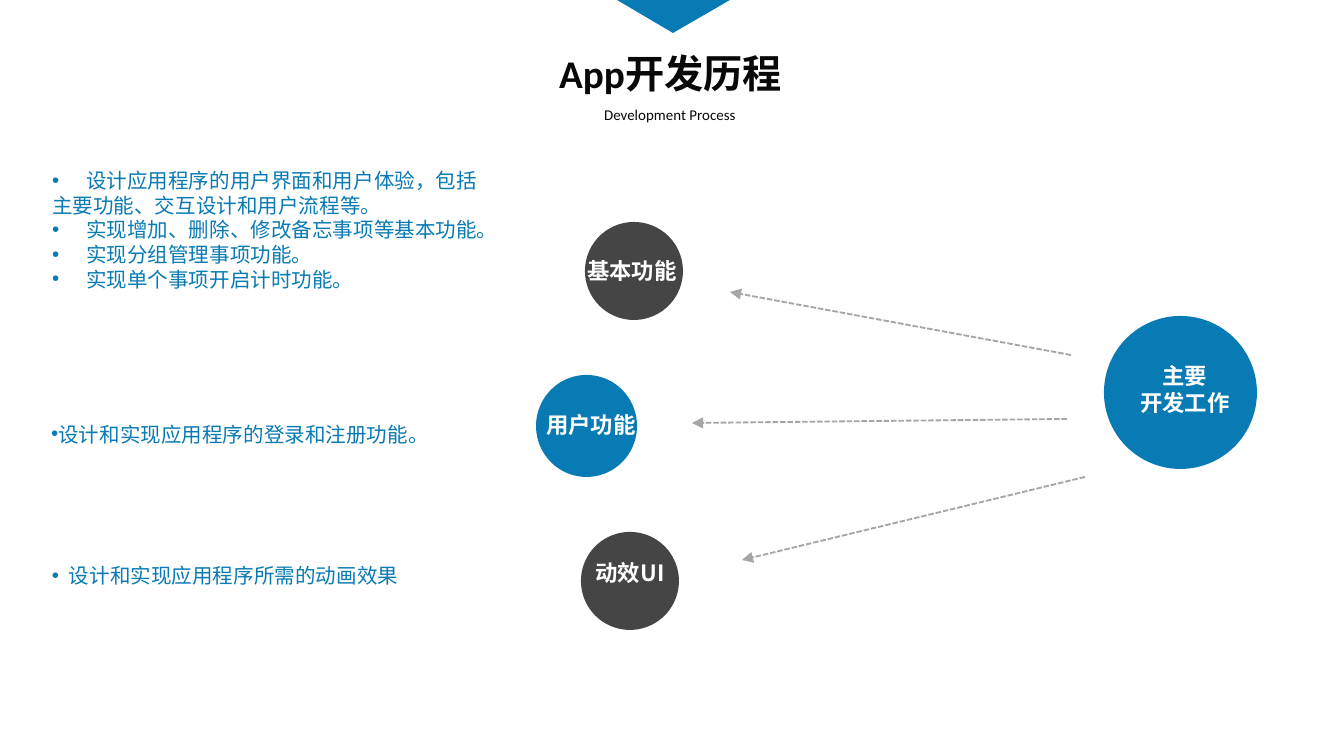
from lxml import etree
from pptx import Presentation
from pptx import util as u
from pptx.dml.color import RGBColor
from pptx.enum import dml, shapes, text
from pptx.oxml.ns import qn

BLUE = RGBColor(0x08, 0x7A, 0xB4)
DARK = RGBColor(0x45, 0x45, 0x45)
BLACK = RGBColor(0x08, 0x08, 0x08)
GREY = RGBColor(0xA6, 0xA6, 0xA6)
WHITE = RGBColor(0xFF, 0xFF, 0xFF)
LATIN = "Calibri"
CJK = "Noto Sans CJK SC"
PX_PER_INCH = 134.4
LABEL_WIDTH = 152


def px(*lengths):
    return [u.Inches(length / PX_PER_INCH) for length in lengths]


class Page:
    """Slide in progress, with its style."""

    def __init__(self, slide):
        self.slide = slide

    def paint(self, shape, color):
        shape.fill.solid()
        shape.fill.fore_color.rgb = color
        shape.line.fill.background()
        shape.shadow.inherit = False

    def circle(self, left, top, width, height, color):
        oval = self.slide.shapes.add_shape(
            shapes.MSO_SHAPE.OVAL, *px(left, top, width, height))
        self.paint(oval, color)

    def polygon(self, points, color):
        builder = self.slide.shapes.build_freeform(
            *points[0], scale=u.Inches(1) / PX_PER_INCH)
        builder.add_line_segments(points[1:], close=True)
        self.paint(builder.convert_to_shape(), color)

    def arrow(self, start, end):
        connector = self.slide.shapes.add_connector(
            shapes.MSO_CONNECTOR.STRAIGHT, *px(*start, *end))
        line = connector.line
        line.color.rgb = GREY
        line.width = u.Pt(1)
        line.dash_style = dml.MSO_LINE.SQUARE_DOT
        etree.SubElement(line._get_or_add_ln(), qn("a:tailEnd"), type="triangle")
        etree.SubElement(connector._element.spPr, qn("a:effectLst"))

    def bullet(self, paragraph, indent, hanging):
        """Bullet whose wrapped lines hang, or return to the left edge."""
        props = paragraph._p.get_or_add_pPr()
        offset = str(px(indent)[0])
        props.set("marL", offset if hanging else "0")
        props.set("indent", f"-{offset}" if hanging and indent else "0")
        color = etree.SubElement(props, qn("a:buClr"))
        etree.SubElement(color, qn("a:srgbClr"), val=str(BLUE))
        etree.SubElement(props, qn("a:buFont"), typeface="Arial")
        etree.SubElement(props, qn("a:buChar"), char="•")
        if not hanging:
            tabs = etree.SubElement(props, qn("a:tabLst"))
            etree.SubElement(tabs, qn("a:tab"), pos=offset, algn="l")

    def text_block(self, box, lines, size, color, font=CJK, bold=False,
                   centered=True, inset=True, indent=None, hanging=True):
        frame = self.slide.shapes.add_textbox(*px(*box)).text_frame
        frame.word_wrap = True
        frame.auto_size = text.MSO_AUTO_SIZE.SHAPE_TO_FIT_TEXT
        if not inset:
            frame.margin_left = frame.margin_right = 0
            frame.margin_top = frame.margin_bottom = 0
        frame.text = "\n".join(lines)
        for paragraph in frame.paragraphs:
            paragraph.alignment = (
                text.PP_ALIGN.CENTER if centered else text.PP_ALIGN.LEFT)
            if indent is not None:
                self.bullet(paragraph, indent, hanging)
            style = paragraph.font
            style.size = u.Pt(size)
            style.bold = bold
            style.color.rgb = color
            style.name = font
            etree.SubElement(style._element, qn("a:ea"), typeface=CJK)

    def label(self, left, top, lines):
        self.text_block((left, top, LABEL_WIDTH, 27 * len(lines)), lines, 12,
                        WHITE, bold=True, inset=False)

    def bullets(self, box, lines, indent, **layout):
        self.text_block(box, lines, 11, BLUE, centered=False, indent=indent,
                        **layout)


def main():
    deck = Presentation()
    deck.slide_width, deck.slide_height = px(1344, 756)
    page = Page(deck.slides.add_slide(deck.slide_layouts[6]))

    for start, end in (
        ((1071, 355), (730, 292)),
        ((1085, 477), (742, 560)),
        ((1067, 419), (692, 423)),
    ):
        page.arrow(start, end)

    for circle, color, label, lines in (
        ((1104, 316, 153, 153), BLUE, (1109, 362), ["主要", "开发工作"]),
        ((585, 222, 98, 98), DARK, (556, 257), ["基本功能"]),
        ((536, 375, 101, 102), BLUE, (515, 411), ["用户功能"]),
        ((581, 532, 98, 98), DARK, (554, 559), ["动效UI"]),
    ):
        page.circle(*circle, color)
        page.label(*label, lines)

    basic_features = [
        "设计应用程序的用户界面和用户体验，包括主要功能、交互设计和用户流程等。",
        "实现增加、删除、修改备忘事项等基本功能。",
        "实现分组管理事项功能。",
        "实现单个事项开启计时功能。",
    ]
    page.bullets((52, 168, 442, 125), [f"\t{line}" for line in basic_features],
                 34, inset=False, hanging=False)
    page.bullets((38, 415, 532, 63), ["设计和实现应用程序的登录和注册功能。"], 0)
    page.bullets((52, 563, 414, 50), ["设计和实现应用程序所需的动画效果"], 17,
                 inset=False)

    page.text_block((458, 43, 425, 60), ["App开发历程"], 21, BLACK, LATIN,
                    bold=True)
    page.text_block((444, 99, 452, 31), ["Development Process"], 8, BLACK, LATIN)
    page.polygon([(617, 0), (730, 0), (673, 33)], BLUE)

    deck.save("out.pptx")


if __name__ == "__main__":
    main()
